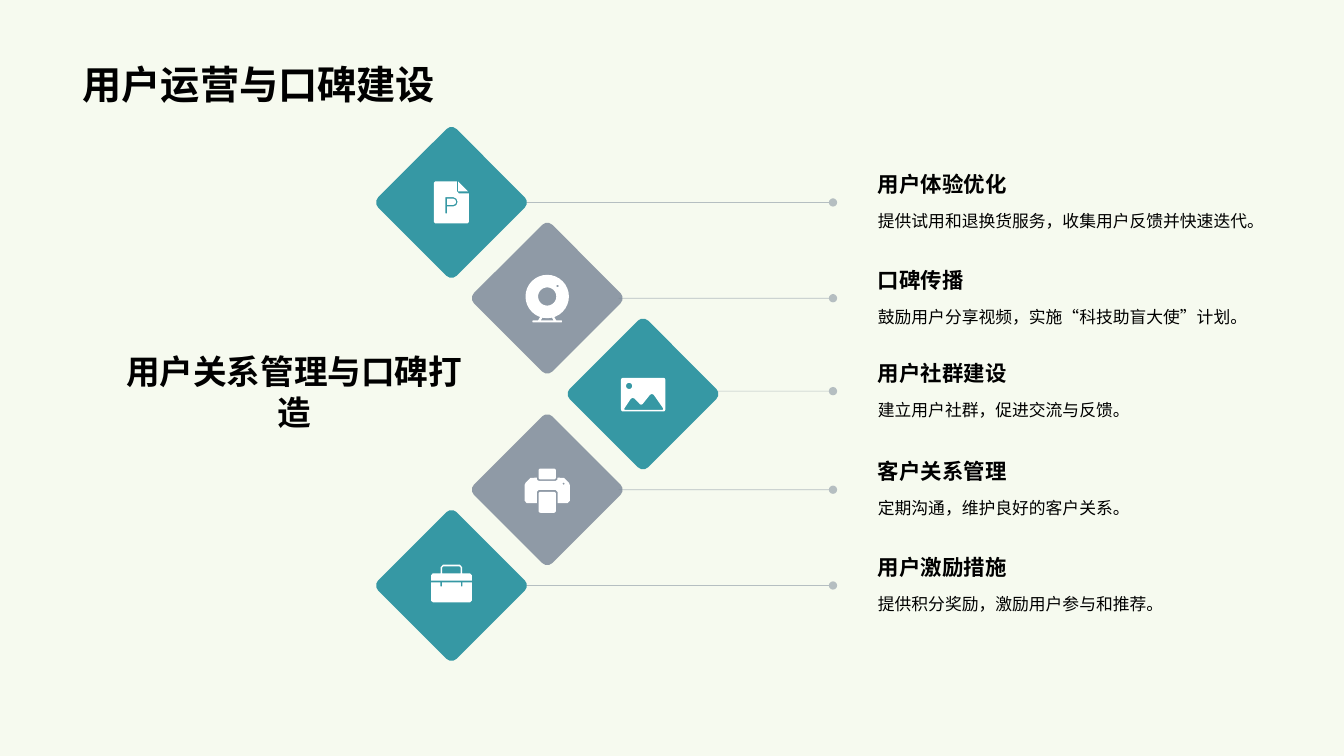
from math import cos, pi, sin

from lxml.etree import SubElement as Sub
from pptx import Presentation
from pptx.dml.color import RGBColor
from pptx.enum.lang import MSO_LANGUAGE_ID as Lang
from pptx.enum.shapes import MSO_CONNECTOR as Link, MSO_SHAPE as Form
from pptx.enum.text import MSO_ANCHOR as Anchor, PP_ALIGN as Align
from pptx.oxml.ns import qn
from pptx.util import Pt

CREAM = RGBColor(0xF6, 0xFA, 0xEF)
TEAL = RGBColor(0x36, 0x98, 0xA4)
SLATE = RGBColor(0x76, 0x83, 0x94)
WHITE = RGBColor(0xFF, 0xFF, 0xFF)
BLACK = RGBColor(0, 0, 0)

# Diamond zigzag
LEFT, TOP, STEP = 322.5, 144.6, 68.4
SIDE = 79.2
END = 595
TEXT_X, TEXT_W = 620, 287

# Column, text shift, heading, detail
ROWS = [
    (0, 0, "用户体验优化", "提供试用和退换货服务，收集用户反馈并快速迭代。"),
    (1, 0, "口碑传播", "鼓励用户分享视频，实施“科技助盲大使”计划。"),
    (2, -2, "用户社群建设", "建立用户社群，促进交流与反馈。"),
    (1, 0, "客户关系管理", "定期沟通，维护良好的客户关系。"),
    (0, 0, "用户激励措施", "提供积分奖励，激励用户参与和推荐。"),
]


def box(x, y, w, h, r):
    """Outline of a rectangle with rounded corners."""
    hubs = [(x + w - r, y + h - r), (x + r, y + h - r),
            (x + r, y + r), (x + w - r, y + r)]
    return [(cx + r * cos(a), cy + r * sin(a))
            for i, (cx, cy) in enumerate(hubs)
            for a in [(i + k / 8) * pi / 2 for k in range(9)]]


def disc(x, y, r):
    return box(x - r, y - r, 2 * r, 2 * r, r)


def mirror(half):
    """Close a left half with its reflection."""
    return half + [(-x, y) for x, y in reversed(half)]


# Icon outlines around each diamond's centre; inner outlines are holes
PAGE = [
    [(-12.6, -14), (-11.6, -15), (3.9, -15), (3.9, -8), (5.2, -6.5),
     (12.4, -6.5), (12.4, 14), (11.4, 15), (-11.6, 15), (-12.6, 14)],
    [(4.7, -15), (11.8, -7.9), (4.7, -7.9)],
    [(-4.3, -3.7), (1.4, -3.7), (3.5, -2.7), (4.4, -0.4), (3.5, 2),
     (1.4, 2.9), (-3.1, 2.9), (-3.1, 7.9), (-4.3, 7.9)],
    [(-3.1, -2.6), (1.4, -2.6), (2.8, -1.9), (3.3, -0.4), (2.8, 1.1),
     (1.4, 1.8), (-3.1, 1.8)],
]
LEG = [(-5, 13.4), (-3.4, 13.9), (-4.6, 15.9), (-6.5, 15.9)]
CAMERA = [
    disc(0, -1.2, 15.5), disc(0, -1.2, 6.5), disc(7.4, -8.7, 0.8),
    LEG, [(-x, y) for x, y in LEG], box(-10.5, 15.9, 21, 1.4, 0.4),
]
PHOTO = [
    box(-15.7, -11.5, 31.7, 24, 1.5), disc(-9.9, -5.7, 2.2),
    [(-13.4, 10.5), (-8.8, 3.6), (-7.4, 2.8), (-6, 3.3), (-2.2, 7.3),
     (-1.2, 7.7), (-0.2, 7.2), (5, 0.6), (6.4, 0), (7.7, 0.6),
     (14.5, 10.4), (14.2, 11.4), (-13.1, 11.4)],
]
PRINTER = [
    mirror([(-6, 0.1), (-7.4, 1.6), (-7.4, 9.5), (-14.6, 9.5), (-16.1, 8),
            (-16.1, -3.5), (-15.4, -5), (-12, -8.4), (-7.4, -8.6),
            (-7.2, -7), (-6, -6.3)]),
    box(-6.2, 1.5, 12.4, 15, 1.5), box(-6.2, -15.1, 12.4, 7.8, 1.5),
    disc(11.7, -4.3, 0.7),
]
CASE = [
    mirror([(-6.7, -2.3), (-6.7, 0.6), (-7.9, 0.6), (-7.9, -2.3),
            (-14.6, -2.3), (-14.6, 10.8), (-13.3, 12)]),
    mirror([(-14.6, -3.5), (-14.6, -7.2), (-13.3, -8.7), (-7.7, -8.7),
            (-7.7, -13), (-6, -14.9)]),
    mirror([(-6.6, -8.7), (-6.6, -12.9), (-5.8, -13.7)]),
]
ICONS = [PAGE, CAMERA, PHOTO, PRINTER, CASE]


def paint(fill, color, alpha=100):
    fill.solid()
    fill.fore_color.rgb = color
    if alpha < 100:
        tone = fill._xPr.find(".//" + qn("a:srgbClr"))
        Sub(tone, qn("a:alpha"), val=str(alpha * 1000))


def add_text(slide, text, x, y, w, h, size, bold=True,
             anchor=Anchor.BOTTOM, align=Align.LEFT, gap=1.0):
    frame = slide.shapes.add_textbox(Pt(x), Pt(y), Pt(w), Pt(h)).text_frame
    frame.word_wrap = True
    frame.vertical_anchor = anchor
    para = frame.paragraphs[0]
    para.text = text
    para.alignment = align
    para.line_spacing = gap
    font = para.font
    font.name, font.size, font.bold = "Arial", Pt(size), bold
    font.color.rgb = BLACK
    font.language_id = Lang.SIMPLIFIED_CHINESE


def add_lead(slide, x, y):
    """Thin line ending in a dot."""
    lead = slide.shapes.add_connector(Link.STRAIGHT, Pt(x), Pt(y),
                                      Pt(END), Pt(y))
    lead.line.width = Pt(0.5)
    paint(lead.line.fill, SLATE, 50)
    Sub(lead.line._get_or_add_ln(), qn("a:tailEnd"), type="oval")
    Sub(lead._element.spPr, qn("a:effectLst"))


def add_gem(slide, x, y, color, alpha):
    gem = slide.shapes.add_shape(
        Form.ROUNDED_RECTANGLE, Pt(x - SIDE / 2), Pt(y - SIDE / 2),
        Pt(SIDE), Pt(SIDE))
    gem.adjustments[0] = 0.065
    gem.rotation = 45
    gem.shadow.inherit = False
    gem.line.fill.background()
    paint(gem.fill, color, alpha)


def add_icon(slide, x, y, parts):
    paths = [[(Pt(x + dx), Pt(y + dy)) for dx, dy in part] for part in parts]
    pen = slide.shapes.build_freeform(*paths[0][0])
    for i, path in enumerate(paths):
        if i:
            pen.move_to(*path[0])
        pen.add_line_segments(path[1:], close=True)
    icon = pen.convert_to_shape()
    icon.shadow.inherit = False
    icon.line.fill.background()
    paint(icon.fill, WHITE)


def main():
    deck = Presentation()
    deck.slide_width, deck.slide_height = Pt(960), Pt(540)
    slide = deck.slides.add_slide(deck.slide_layouts[6])
    paint(slide.background.fill, CREAM)

    # Title and central theme
    add_text(slide, "用户运营与口碑建设", 52, 10, 855, 70.5, 28)
    add_text(slide, "用户关系管理与口碑打造", 72.5, 245.5, 275, 68.5, 24,
             anchor=Anchor.MIDDLE, align=Align.CENTER)

    # Five measures
    for i, (col, shift, head, body) in enumerate(ROWS):
        x, y = LEFT + col * STEP, TOP + i * STEP
        base = y + shift
        add_lead(slide, x + 51, base)
        add_gem(slide, x, y, *((SLATE, 80) if i % 2 else (TEAL, 100)))
        add_icon(slide, x, y, ICONS[i])
        add_text(slide, head, TEXT_X, base - 22.8, TEXT_W, 22.3, 15.3)
        add_text(slide, body, TEXT_X, base - 0.6, TEXT_W, 39.6, 12,
                 bold=False, anchor=Anchor.TOP, gap=1.2)

    deck.save("out.pptx")


if __name__ == "__main__":
    main()
